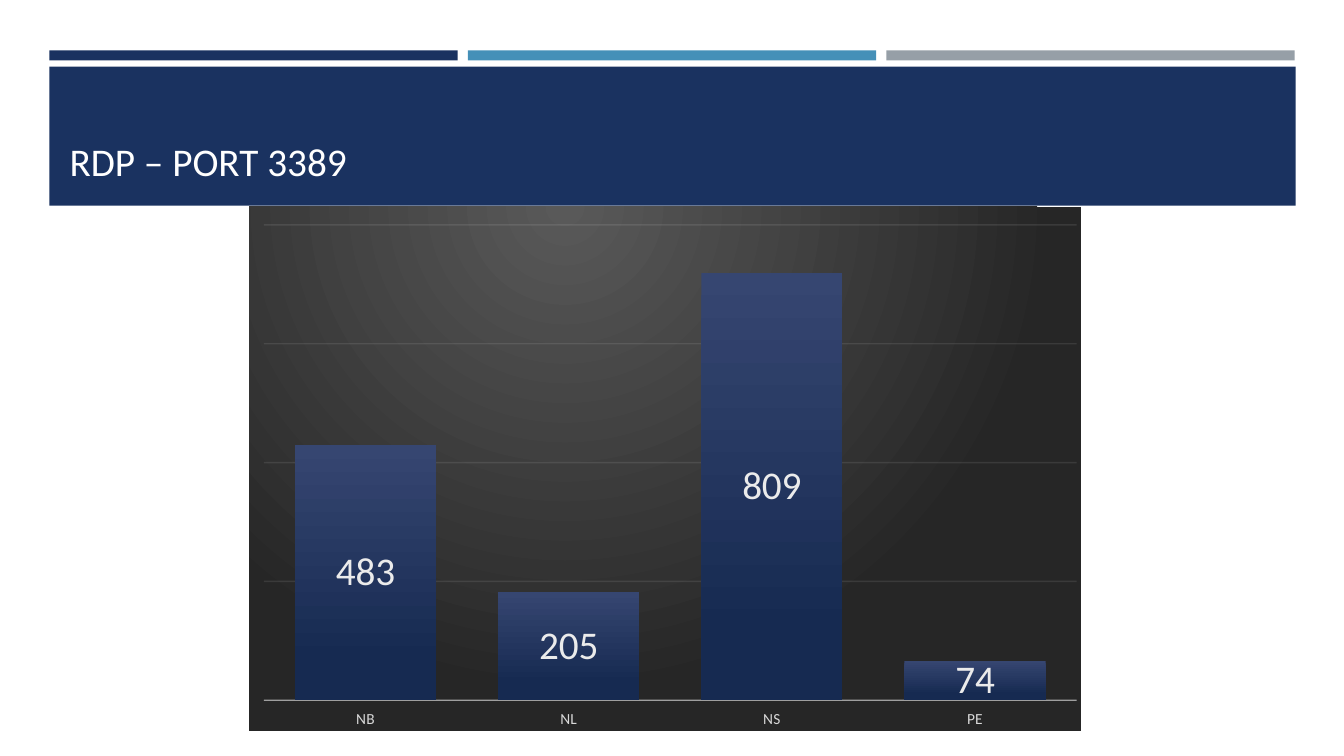
from lxml import etree
from pptx import Presentation
from pptx.chart.data import CategoryChartData
from pptx.dml.color import RGBColor
from pptx.enum.chart import XL_CHART_TYPE, XL_LABEL_POSITION, XL_TICK_LABEL_POSITION, XL_TICK_MARK
from pptx.enum.shapes import MSO_SHAPE
from pptx.enum.text import MSO_ANCHOR, PP_ALIGN
from pptx.oxml import parse_xml
from pptx.oxml.ns import nsdecls, qn
from pptx.util import Inches, Pt

COLORS = {
    "navy": "1A3260", "blue": "4590B8", "gray": "969FA7", "white": "FFFFFF",
    "bar_top": "364671", "bar_bottom": "162A51", "value": "EBEBEB",
    "axis_text": "D9D9D9", "line": "F2F2F2",
    "chart_center": "595959", "chart_edge": "262626",
}
FONT = "Calibri"


def set_font(font, size, color):
    font.name = FONT
    font.size = Pt(size)
    font.color.rgb = RGBColor.from_string(COLORS[color])


def set_line(line, opacity):
    line.width = Pt(1)
    line.color.rgb = RGBColor.from_string(COLORS["line"])
    color = line.fill._xPr.find(".//" + qn("a:srgbClr"))
    etree.SubElement(color, qn("a:alpha")).set("val", str(opacity * 1000))


presentation = Presentation()
presentation.slide_width = Inches(13.33)
presentation.slide_height = Inches(7.5)
slide = presentation.slides.add_slide(presentation.slide_layouts[6])

# Three accent strips above the title band
bands = [(0.49 + 4.15 * i, 0.5, 4.05, 0.1, color)
         for i, color in enumerate(["navy", "blue", "gray"])]
bands.append((0.49, 0.66, 12.36, 1.38, "navy"))
for left, top, width, height, color in bands:
    band = slide.shapes.add_shape(MSO_SHAPE.RECTANGLE, Inches(left), Inches(top),
                                  Inches(width), Inches(height))
    band.shadow.inherit = False
    band.fill.solid()
    band.fill.fore_color.rgb = RGBColor.from_string(COLORS[color])
    band.line.fill.background()

# Title
title = slide.shapes.add_textbox(Inches(0.64), Inches(0.8), Inches(12.06), Inches(1.08))
title_frame = title.text_frame
title_frame.word_wrap = True
title_frame.vertical_anchor = MSO_ANCHOR.BOTTOM
title_frame.margin_left = title_frame.margin_right = Inches(0.05)
title_frame.margin_top = title_frame.margin_bottom = Inches(0.05)
title_frame.text = "RDP – PORT 3389"
title_frame.paragraphs[0].alignment = PP_ALIGN.LEFT
set_font(title_frame.paragraphs[0].runs[0].font, 28, "white")

# Counts per province
counts = CategoryChartData(number_format="0")
counts.categories = ["NB", "NL", "NS", "PE"]
counts.add_series("Series 1", [483, 205, 809, 74])
chart = slide.shapes.add_chart(XL_CHART_TYPE.COLUMN_STACKED, Inches(2.47), Inches(2.05),
                               Inches(8.25), Inches(5.2), counts).chart
chart.has_title = False
chart.has_legend = False
set_font(chart.font, 11, "axis_text")

# Bars with centred values
plot = chart.plots[0]
plot.gap_width = 44
plot.overlap = 100
plot.vary_by_categories = False
bar_fill = plot.series[0].format.fill
bar_fill.gradient()
bar_fill.gradient_angle = 270
for stop, color, position in zip(bar_fill.gradient_stops, ["bar_top", "bar_bottom"], [0, 0.84]):
    stop.color.rgb = RGBColor.from_string(COLORS[color])
    stop.position = position
plot.has_data_labels = True
labels = plot.data_labels
labels.show_value = True
labels.position = XL_LABEL_POSITION.CENTER
labels.number_format = "0"
labels.number_format_is_linked = False
set_font(labels.font, 28, "value")

# Axes
provinces = chart.category_axis
provinces.tick_label_position = XL_TICK_LABEL_POSITION.LOW
set_line(provinces.format.line, 54)
scale = chart.value_axis
scale.minimum_scale = 0
scale.maximum_scale = 900
scale.major_unit = 225
scale.tick_label_position = XL_TICK_LABEL_POSITION.NONE
scale.format.line.fill.background()
scale.has_major_gridlines = True
set_line(scale.major_gridlines.format.line, 10)
for axis in (provinces, scale):
    axis.major_tick_mark = axis.minor_tick_mark = XL_TICK_MARK.NONE
    set_font(axis.tick_labels.font, 11, "axis_text")

# Plot area placement
plot_area = chart.element.find(".//" + qn("c:plotArea"))
for layout in plot_area.findall(qn("c:layout")):
    plot_area.remove(layout)
plot_area.insert(0, parse_xml(
    f'<c:layout {nsdecls("c")}><c:manualLayout><c:layoutTarget val="inner"/>'
    '<c:xMode val="edge"/><c:yMode val="edge"/><c:x val="0.018"/><c:y val="0.035"/>'
    '<c:w val="0.977"/><c:h val="0.907"/></c:manualLayout></c:layout>'))

# Radial chart background
chart.element.find(qn("c:chart")).addnext(parse_xml(
    f'<c:spPr {nsdecls("c", "a")}><a:gradFill><a:gsLst>'
    f'<a:gs pos="0"><a:srgbClr val="{COLORS["chart_center"]}"/></a:gs>'
    f'<a:gs pos="100000"><a:srgbClr val="{COLORS["chart_edge"]}"/></a:gs></a:gsLst>'
    '<a:path path="circle"><a:fillToRect l="38000" t="-20000" r="62000" b="120000"/></a:path>'
    '</a:gradFill><a:ln><a:noFill/></a:ln></c:spPr>'))

presentation.save("out.pptx")
